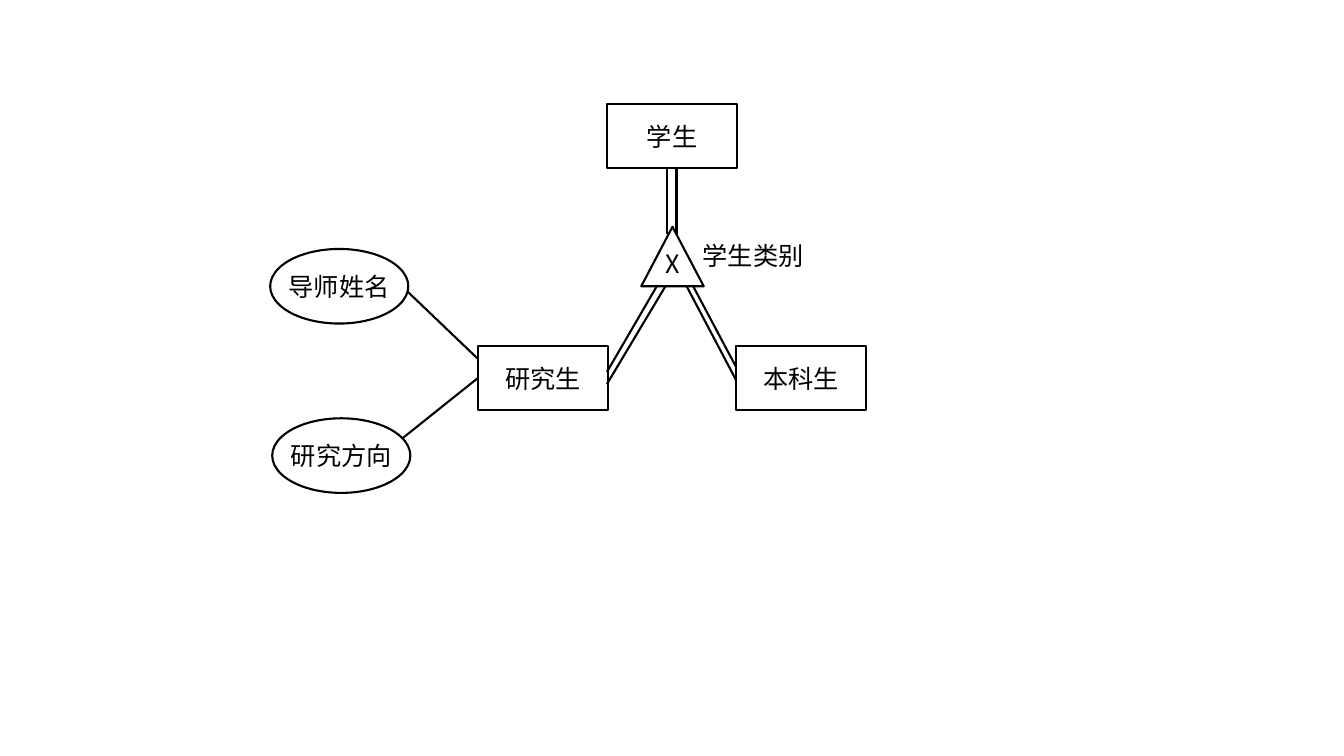
import pptx
import pptx.util
import pptx.dml.color
import pptx.enum.shapes
import pptx.enum.text
import pptx.oxml.ns
from lxml import etree

Inches = pptx.util.Inches
Pt = pptx.util.Pt
KIND = pptx.enum.shapes.MSO_SHAPE
ALIGN = pptx.enum.text.PP_ALIGN

FONT, INK = "Noto Sans CJK SC", "000000"
ENTITY_SIZE, ATTRIBUTE_SIZE = (1.29, 0.64), (1.37, 0.74)
LABEL_SIZE = (1.29, 0.4)

# Content: text with left and top in inches
ENTITIES = [("学生", 6.02, 1.03), ("研究生", 4.74, 3.43), ("本科生", 7.3, 3.43)]
ATTRIBUTES = [("导师姓名", 2.68, 2.47), ("研究方向", 2.7, 4.15)]
LABELS = [("学生类别", 6.87, 2.33), ("X", 6.5, 2.41)]
TRIANGLE = (6.36, 2.25, 0.62, 0.59)

# Each link is one or two strokes: (x1, y1, x2, y2)
LINKS = {
    "student to category": [(6.62, 1.67, 6.62, 2.32), (6.71, 1.67, 6.71, 2.32)],
    "category to graduate": [(6.52, 2.83, 6.02, 3.69), (6.6, 2.84, 6.02, 3.81)],
    "category to undergraduate": [(6.81, 2.84, 7.3, 3.77), (6.87, 2.83, 7.3, 3.64)],
    "graduate to supervisor": [(4.74, 3.56, 4.05, 2.9)],
    "graduate to research field": [(4.74, 3.75, 3.99, 4.35)],
}


def color(value):
    """Turn a hex string into a colour."""
    return pptx.dml.color.RGBColor.from_string(value)


def stroke(sp):
    """Give a shape or connector the diagram's outline."""
    sp.line.color.rgb = color(INK)
    sp.line.width = Pt(1.5)


def write(sp, text, align):
    """Put one line of text in a shape, centred vertically."""
    tf = sp.text_frame
    frame = {"word_wrap": False,
             "vertical_anchor": pptx.enum.text.MSO_ANCHOR.MIDDLE}
    for name, value in frame.items():
        setattr(tf, name, value)
    p = tf.paragraphs[0]
    p.alignment = align
    r = p.add_run()
    r.text = text
    for name, value in {"name": FONT, "size": Pt(18)}.items():
        setattr(r.font, name, value)
    r.font.color.rgb = color(INK)
    ea = etree.SubElement(r.font._element, pptx.oxml.ns.qn("a:ea"))
    ea.set("typeface", FONT)


def node(slide, kind, box, text=None):
    """Draw an outlined shape with optional centred text."""
    sp = slide.shapes.add_shape(kind, *map(Inches, box))
    sp.shadow.inherit = False
    sp.fill.background()
    stroke(sp)
    if text:
        write(sp, text, ALIGN.CENTER)


def link(slide, ends):
    """Draw one straight stroke."""
    line = slide.shapes.add_connector(
        pptx.enum.shapes.MSO_CONNECTOR.STRAIGHT, *map(Inches, ends))
    stroke(line)
    etree.SubElement(line._element.spPr, pptx.oxml.ns.qn("a:effectLst"))


prs = pptx.Presentation()
prs.slide_width, prs.slide_height = Inches(13.33), Inches(7.5)
slide = prs.slides.add_slide(prs.slide_layouts[6])

for kind, size, items in [(KIND.RECTANGLE, ENTITY_SIZE, ENTITIES),
                          (KIND.OVAL, ATTRIBUTE_SIZE, ATTRIBUTES)]:
    for text, left, top in items:
        node(slide, kind, (left, top, *size), text)
node(slide, KIND.ISOSCELES_TRIANGLE, TRIANGLE)

for strokes in LINKS.values():
    for ends in strokes:
        link(slide, ends)

for text, left, top in LABELS:
    sp = slide.shapes.add_textbox(*map(Inches, (left, top, *LABEL_SIZE)))
    write(sp, text, ALIGN.LEFT)
    sp.text_frame.word_wrap = True

prs.save("out.pptx")
